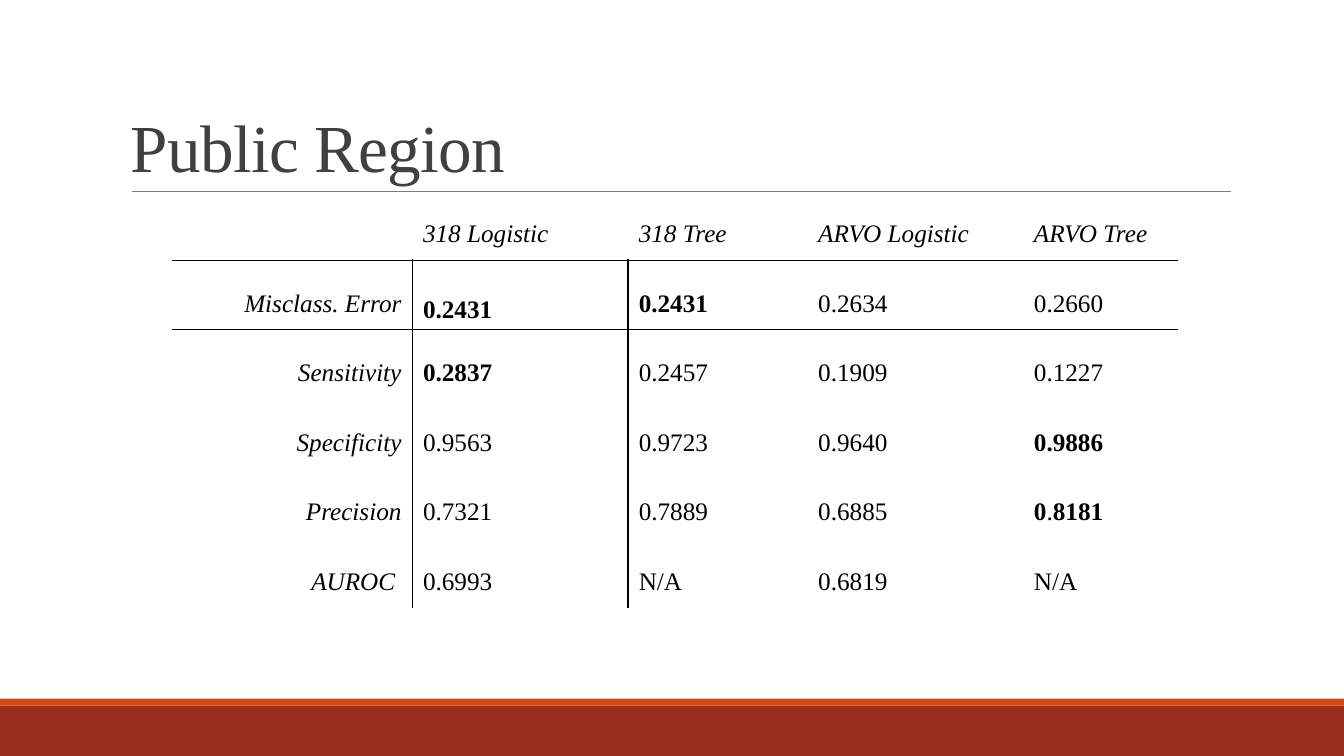
"""Build the Public Region slide comparing four models in a metrics table."""
from lxml.etree import SubElement
from pptx import Presentation
from pptx.dml.color import RGBColor
from pptx.enum.shapes import MSO_CONNECTOR, MSO_SHAPE
from pptx.enum.text import MSO_ANCHOR, PP_ALIGN
from pptx.oxml.ns import qn
from pptx.util import Pt

TITLE = "Public Region"
BOLD_MARK = "*"
METRICS = [
    ("", "318 Logistic", "318 Tree", "ARVO Logistic", "ARVO Tree"),
    ("Misclass. Error", "*0.2431*", "*0.2431*", "0.2634", "0.2660"),
    ("Sensitivity", "*0.2837*", "0.2457", "0.1909", "0.1227"),
    ("Specificity", "0.9563", "0.9723", "0.9640", "*0.9886*"),
    ("Precision", "0.7321", "0.7889", "0.6885", "*0*.*8181*"),
    ("AUROC ", "0.6993", "N/A", "0.6819", "N/A"),
]
CENTERED_CELL = (1, 1)

THEME = {
    "font": "Times New Roman",
    "title_size": 48,
    "table_size": 18,
    "title": "404040",
    "text": "000000",
    "rule": "808080",
    "band": "9B2D1F",
    "stripe": "D34817",
}
NO_TABLE_STYLE = "{2D5ABB26-0587-4C30-8999-92F81FD0307C}"
SLIDE_WIDTH, SLIDE_HEIGHT = 960, 540
BAND_HEIGHT, STRIPE_HEIGHT = 36, 5
TITLE_BOX = (86.4, 22.3, 792, 114.5)
RULE_LEFT, RULE_RIGHT, RULE_TOP = 94.3, 879, 136.8
TABLE_LEFT, TABLE_TOP = 123.1, 136.1
COLUMN_WIDTHS = (171.4, 154.1, 128.2, 154.1, 110.9)
ROW_HEIGHT = 49.7


def color(name):
    return RGBColor.from_string(THEME[name])


def style_font(paragraph, size, color_name, italic=False):
    font = paragraph.font
    font.name = THEME["font"]
    font.size = Pt(THEME[size])
    font.color.rgb = color(color_name)
    font.italic = italic


def add_bar(slide, top, height, color_name):
    bar = slide.shapes.add_shape(
        MSO_SHAPE.RECTANGLE, 0, Pt(top), Pt(SLIDE_WIDTH), Pt(height))
    bar.shadow.inherit = False
    bar.fill.solid()
    bar.fill.fore_color.rgb = color(color_name)
    bar.line.fill.background()


def add_rule(slide):
    rule = slide.shapes.add_connector(
        MSO_CONNECTOR.STRAIGHT,
        Pt(RULE_LEFT), Pt(RULE_TOP), Pt(RULE_RIGHT), Pt(RULE_TOP))
    rule.line.color.rgb = color("rule")
    rule.line.width = Pt(0.5)
    SubElement(rule._element.spPr, qn("a:effectLst"))


def add_title(slide):
    frame = slide.shapes.add_textbox(*map(Pt, TITLE_BOX)).text_frame
    frame.word_wrap = True
    frame.vertical_anchor = MSO_ANCHOR.BOTTOM
    paragraph = frame.paragraphs[0]
    paragraph.line_spacing = 0.85
    run = paragraph.add_run()
    run.text = TITLE
    run.font._element.set("spc", "-50")
    style_font(paragraph, "title_size", "title")


def add_borders(cell, row, column):
    edges = {
        "a:lnL": column == 1 and row > 0,
        "a:lnR": column == 0 and row > 0,
        "a:lnT": row == 1,
        "a:lnB": row == 0,
    }
    properties = cell._tc.get_or_add_tcPr()
    for tag, visible in edges.items():
        if visible:
            border = SubElement(properties, qn(tag), w=str(Pt(1)))
            fill = SubElement(border, qn("a:solidFill"))
            SubElement(fill, qn("a:srgbClr"), val=THEME["text"])


def fill_cell(cell, text, row, column):
    cell.margin_left = cell.margin_right = Pt(7.7)
    cell.margin_top, cell.margin_bottom = Pt(1.1), Pt(0)
    centered = (row, column) == CENTERED_CELL
    cell.vertical_anchor = MSO_ANCHOR.MIDDLE if centered else MSO_ANCHOR.TOP
    add_borders(cell, row, column)
    cell.fill.background()
    paragraph = cell.text_frame.paragraphs[0]
    paragraph.line_spacing = 2.0
    paragraph.alignment = PP_ALIGN.RIGHT if column == 0 else PP_ALIGN.LEFT
    style_font(paragraph, "table_size", "text", italic=row == 0 or column == 0)
    for index, part in enumerate(text.split(BOLD_MARK)):
        if part:
            run = paragraph.add_run()
            run.text = part
            run.font.bold = index % 2 == 1


def add_metrics_table(slide):
    table = slide.shapes.add_table(
        len(METRICS), len(COLUMN_WIDTHS), Pt(TABLE_LEFT), Pt(TABLE_TOP),
        Pt(sum(COLUMN_WIDTHS)), Pt(ROW_HEIGHT * len(METRICS))).table
    table.first_row = table.horz_banding = False
    table._tbl.tblPr.find(qn("a:tableStyleId")).text = NO_TABLE_STYLE
    for column, width in zip(table.columns, COLUMN_WIDTHS):
        column.width = Pt(width)
    for row, texts in enumerate(METRICS):
        table.rows[row].height = Pt(ROW_HEIGHT)
        for column, text in enumerate(texts):
            fill_cell(table.cell(row, column), text, row, column)


def main():
    presentation = Presentation()
    presentation.slide_width = Pt(SLIDE_WIDTH)
    presentation.slide_height = Pt(SLIDE_HEIGHT)
    slide = presentation.slides.add_slide(presentation.slide_layouts[6])
    band_top = SLIDE_HEIGHT - BAND_HEIGHT
    add_bar(slide, band_top, BAND_HEIGHT, "band")
    add_bar(slide, band_top - STRIPE_HEIGHT, STRIPE_HEIGHT, "stripe")
    add_rule(slide)
    add_title(slide)
    add_metrics_table(slide)
    presentation.save("out.pptx")


if __name__ == "__main__":
    main()
